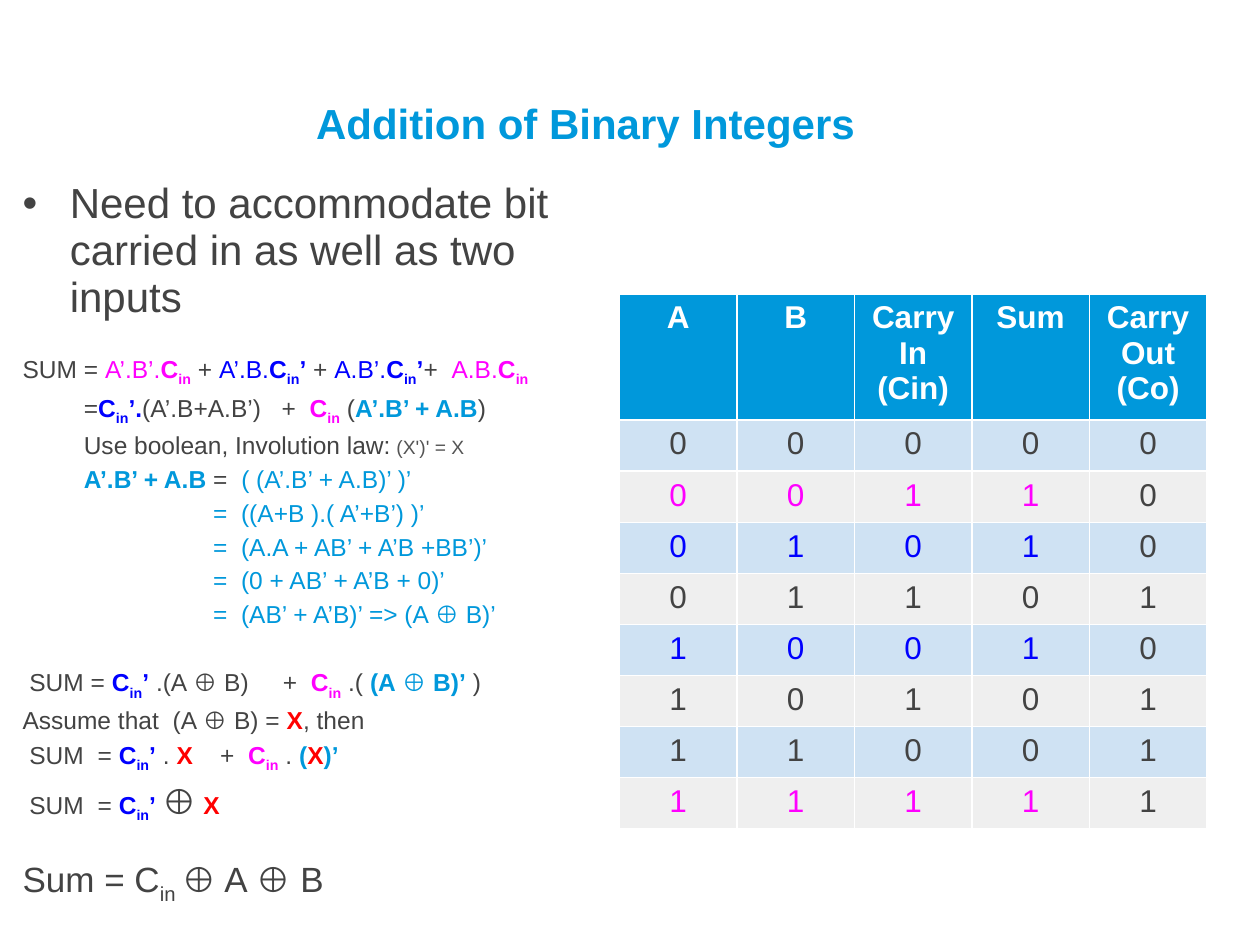
from dataclasses import dataclass
from itertools import product

from lxml import etree
from pptx import Presentation
from pptx.dml.color import RGBColor
from pptx.enum import text as t
from pptx.oxml import ns
from pptx.util import Pt

FONT = "Arial"
DARK = RGBColor(0x43, 0x43, 0x43)
GRAY = RGBColor(0x54, 0x54, 0x54)
SKY = RGBColor(0x00, 0x98, 0xDB)
PINK = RGBColor(0xFF, 0x00, 0xFF)
BLUE = RGBColor(0x00, 0x00, 0xFF)
RED = RGBColor(0xFF, 0x00, 0x00)
WHITE = RGBColor(0xFF, 0xFF, 0xFF)
BANDS = RGBColor(0xCF, 0xE2, 0xF3), RGBColor(0xEF, 0xEF, 0xEF)

BODY_SIZE = 14
SPACE_WIDTH = 3.89
STEP_INDENT = 9 * SPACE_WIDTH
RESULT_INDENT = 28 * SPACE_WIDTH
COLUMN_WIDTH = 67.15
ROW_HEIGHT = 29.2


@dataclass(frozen=True)
class Span:
    text: str
    color: RGBColor = DARK
    bold: bool = False
    size: float = BODY_SIZE
    lowered: bool = False
    spacing: float = 0


@dataclass(frozen=True)
class Line:
    spans: list[Span]
    indent: float = 0
    before: float = 0
    leading: float = 1.15
    bullet: bool = False


def gap(spaces: int) -> Span:
    return Span(" ", spacing=(spaces - 1) * SPACE_WIDTH)


def carry(color: RGBColor, tail: str = "") -> list[Span]:
    spans = [Span("C", color, True), Span("in", color, True, lowered=True)]
    return spans + ([Span(tail, color, True)] if tail else [])


def plus(spaces_before: int) -> list[Span]:
    return [gap(spaces_before), Span("+"), gap(2)]


def result(formula: str) -> Line:
    return Line([Span("=", SKY), gap(2), Span(formula, SKY)], RESULT_INDENT)


def add_span(para, span: Span) -> None:
    run = para.add_run()
    run.text = span.text
    values = {"name": FONT, "size": Pt(span.size), "bold": span.bold}
    for name, value in values.items():
        setattr(run.font, name, value)
    run.font.color.rgb = span.color
    properties = run._r.get_or_add_rPr()
    if span.lowered:
        properties.set("baseline", "-25000")
    if span.spacing:
        properties.set("spc", str(round(span.spacing * 100)))


def add_bullet(para, color: RGBColor) -> None:
    properties = para._p.get_or_add_pPr()
    properties.set("indent", properties.get("marL").join(("-", "")))
    bullet_color = etree.SubElement(properties, ns.qn("a:buClr"))
    etree.SubElement(bullet_color, ns.qn("a:srgbClr"), val=str(color))
    etree.SubElement(properties, ns.qn("a:buFont"), typeface=FONT)
    etree.SubElement(properties, ns.qn("a:buChar"), char="•")


def add_text(page, left: float, top: float, width: float, height: float,
             lines: list[Line], anchor=t.MSO_ANCHOR.TOP) -> None:
    box = page.shapes.add_textbox(Pt(left), Pt(top), Pt(width), Pt(height))
    frame = box.text_frame
    frame.word_wrap = True
    frame.vertical_anchor = anchor
    for index, line in enumerate(lines):
        para = frame.add_paragraph() if index else frame.paragraphs[0]
        values = {"line_spacing": line.leading, "space_before": Pt(line.before)}
        for name, value in values.items():
            setattr(para, name, value)
        para._p.get_or_add_pPr().set("marL", str(int(Pt(line.indent))))
        if line.bullet:
            add_bullet(para, DARK)
        for span in line.spans:
            add_span(para, span)


def fill_cell(cell, span: Span, fill: RGBColor) -> None:
    cell.fill.solid()
    cell.fill.fore_color.rgb = fill
    para = cell.text_frame.paragraphs[0]
    para.alignment = t.PP_ALIGN.CENTER
    add_span(para, span)


def add_truth_table(page, left: float, top: float) -> None:
    headings = ["A", "B", "Carry In (Cin)", "Sum", "Carry Out (Co)"]
    inputs = list(product((0, 1), repeat=3))
    columns, rows = len(headings), len(inputs) + 1
    table = page.shapes.add_table(
        rows, columns, Pt(left), Pt(top),
        Pt(columns * COLUMN_WIDTH), Pt(rows * ROW_HEIGHT)).table
    for column in table.columns:
        column.width = Pt(COLUMN_WIDTH)
    for row in table.rows:
        row.height = Pt(ROW_HEIGHT)
    for column, heading in enumerate(headings):
        fill_cell(table.cell(0, column), Span(heading, WHITE, True, 18), SKY)
    for index, bits in enumerate(inputs):
        carry_out, total = divmod(sum(bits), 2)
        minterm = (PINK if bits[2] else BLUE) if total else DARK
        for column, value in enumerate((*bits, total, carry_out)):
            color = DARK if column == columns - 1 else minterm
            fill_cell(table.cell(index + 1, column),
                      Span(str(value), color, size=18), BANDS[index % 2])


def derivation() -> list[Line]:
    equals = Span("SUM"), gap(2), Span("= ")
    product_terms = Span("A’.B’ + A.B", SKY, True)
    return [
        Line([Span("Need to accommodate bit carried in as well as two inputs",
                   size=24)], 27, leading=0.93, bullet=True),
        Line([Span("SUM = "), Span("A’.B’.", PINK), *carry(PINK), Span(" + "),
              Span("A’.B.", BLUE), *carry(BLUE, "’"), Span(" + "),
              Span("A.B’.", BLUE), *carry(BLUE, "’"), Span("+"), gap(2),
              Span("A.B.", PINK), *carry(PINK)], before=15.6),
        Line([Span("="), *carry(BLUE, "’."), Span("(A’.B+A.B’)"), *plus(3),
              *carry(PINK), Span(" ("), product_terms, Span(")")], STEP_INDENT),
        Line([Span("Use boolean, Involution law:"),
              Span(" (X')' = X", GRAY, size=11)], STEP_INDENT),
        Line([product_terms, Span(" ="), gap(2),
              Span("( (A’.B’ + A.B)’ )’", SKY)], STEP_INDENT),
        result("((A+B ).( A’+B’) )’"),
        result("(A.A + AB’ + A’B +BB’)’"),
        result("(0 + AB’ + A’B + 0)’"),
        result("(AB’ + A’B)’ => (A ⊕ B)’"),
        Line([Span("SUM = "), *carry(BLUE, "’"), Span(" .(A ⊕ B)"), *plus(5),
              *carry(PINK), Span(" .( "), Span("(A ⊕ B)’", SKY, True),
              Span(" )")], SPACE_WIDTH, 19.3),
        Line([Span("Assume that"), gap(2), Span("(A ⊕ B) = "),
              Span("X", RED, True), Span(", then")]),
        Line([*equals, *carry(BLUE, "’"), Span(" . "), Span("X", RED, True),
              *plus(4), *carry(PINK), Span(" . "), Span("(", SKY, True),
              Span("X", RED, True), Span(")’", SKY, True)], SPACE_WIDTH),
        Line([*equals, *carry(BLUE, "’ "), Span("⊕", size=20), Span(" "),
              Span("X", RED, True)], SPACE_WIDTH),
        Line([Span("Sum = C", size=20), Span("in ", size=20, lowered=True),
              Span("⊕ A ⊕ B", size=20)], before=19.3, leading=0.93),
    ]


def main() -> None:
    deck = Presentation()
    deck.slide_width, deck.slide_height = Pt(720), Pt(540)
    page = deck.slides.add_slide(deck.slide_layouts[6])
    title = Line([Span("Addition of Binary Integers", SKY, True, 24)], leading=1)
    add_text(page, 173.5, 50.4, 423.4, 37.4, [title], t.MSO_ANCHOR.BOTTOM)
    add_text(page, 5.8, 100, 336.2, 427, derivation())
    add_truth_table(page, 354, 168)
    deck.save("out.pptx")


if __name__ == "__main__":
    main()
